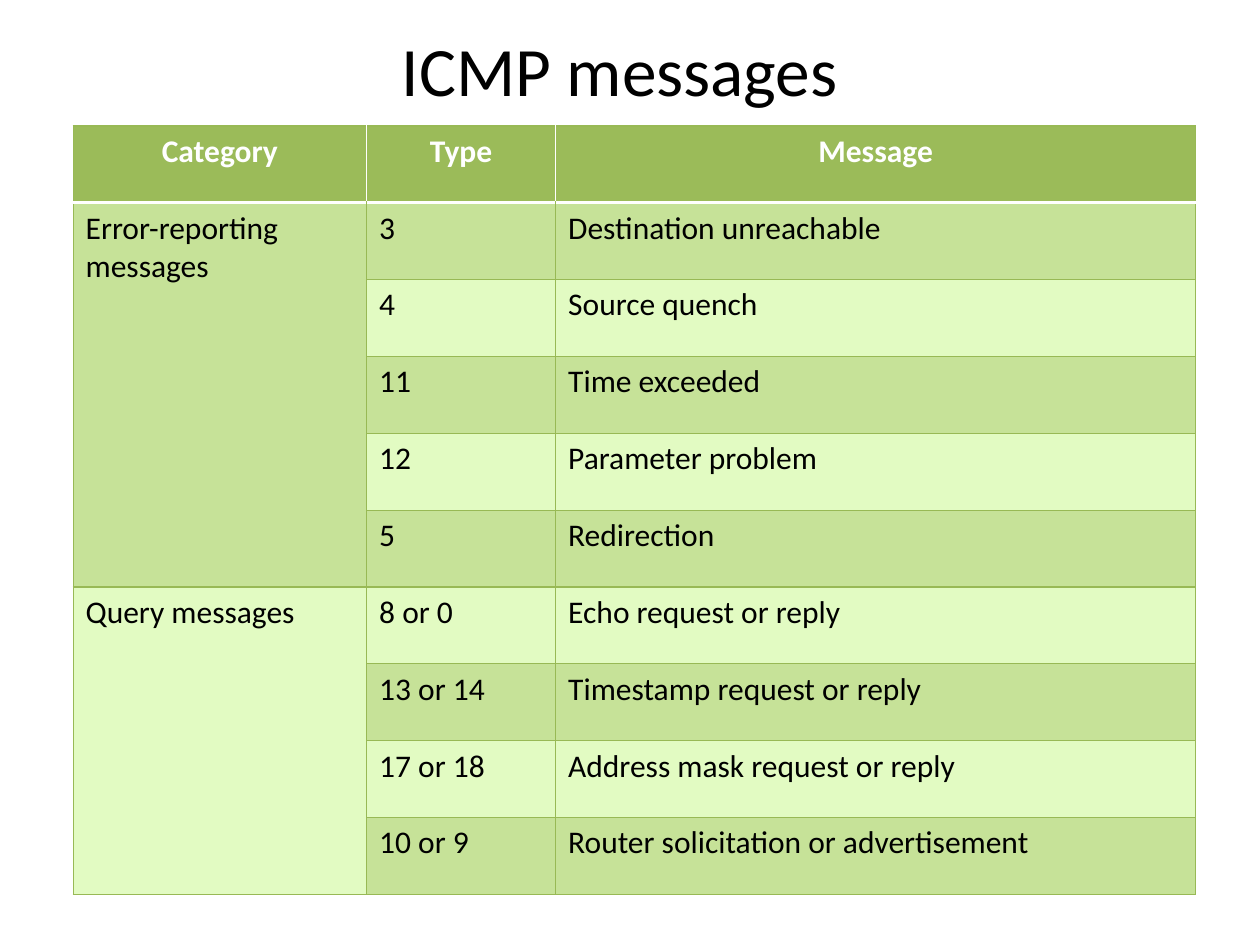
from dataclasses import dataclass

from lxml.etree import SubElement
from pptx import Presentation
from pptx.dml.color import RGBColor
from pptx.enum.text import MSO_ANCHOR as Anchor, PP_ALIGN as Align
from pptx.oxml.ns import qn
from pptx.util import Inches, Pt

FONT = "Calibri"
BLACK, WHITE = "000000", "FFFFFF"
HEADER_FILL, GRID_LINE = "9BBB59", "98B955"
BANDS = ("C6E298", "E2FBC2")
GRID_WIDTH, HEADER_RULE_WIDTH = 0.75, 2
SLIDE_WIDTH, SLIDE_HEIGHT = 10, 7.5
COLUMN_WIDTHS = (2.33, 1.5, 5.08)
ROW_HEIGHT = 0.61
HEADINGS = ("Category", "Type", "Message")


@dataclass
class Category:
    name: str
    messages: list[tuple[str, str]]


CATEGORIES = [
    Category("Error-reporting messages", [
        ("3", "Destination unreachable"),
        ("4", "Source quench"),
        ("11", "Time exceeded"),
        ("12", "Parameter problem"),
        ("5", "Redirection"),
    ]),
    Category("Query messages", [
        ("8 or 0", "Echo request or reply"),
        ("13 or 14", "Timestamp request or reply"),
        ("17 or 18", "Address mask request or reply"),
        ("10 or 9", "Router solicitation or advertisement"),
    ]),
]


def color(value: str) -> RGBColor:
    return RGBColor.from_string(value)


def write(frame, text: str, size: float, ink: str, bold: bool = False, align=Align.LEFT) -> None:
    paragraph = frame.paragraphs[0]
    paragraph.alignment = align
    run = paragraph.add_run()
    run.text = text
    run.font.name, run.font.size, run.font.bold = FONT, Pt(size), bold
    run.font.color.rgb = color(ink)


def add_border(cell, side: str, ink: str, width: float) -> None:
    line = SubElement(cell._tc.get_or_add_tcPr(), qn(f"a:ln{side}"), w=str(Pt(width)))
    SubElement(SubElement(line, qn("a:solidFill")), qn("a:srgbClr"), val=ink)


def style_cell(cell, row: int, column: int) -> None:
    header = row == 0
    last = len(COLUMN_WIDTHS) - 1
    if not header or column == 0:
        add_border(cell, "L", GRID_LINE, GRID_WIDTH)
    if not header or column == last:
        add_border(cell, "R", GRID_LINE, GRID_WIDTH)
    header_rule = (WHITE, HEADER_RULE_WIDTH)
    grid_rule = (GRID_LINE, GRID_WIDTH)
    add_border(cell, "T", *(header_rule if row == 1 else grid_rule))
    add_border(cell, "B", *(header_rule if header else grid_rule))
    cell.fill.solid()
    cell.fill.fore_color.rgb = color(HEADER_FILL if header else BANDS[(row - 1) % 2])


def add_title(slide, text: str) -> None:
    box = slide.shapes.add_textbox(Inches(0.67), Inches(0.25), Inches(8.5), Inches(0.59))
    frame = box.text_frame
    frame.word_wrap = True
    frame.vertical_anchor = Anchor.MIDDLE
    write(frame, text, 39.6, BLACK, align=Align.CENTER)


def add_message_table(slide, categories: list[Category]) -> None:
    row_count = 1 + sum(len(category.messages) for category in categories)
    table = slide.shapes.add_table(
        row_count, len(COLUMN_WIDTHS), Inches(0.58), Inches(1),
        Inches(sum(COLUMN_WIDTHS)), Inches(ROW_HEIGHT * row_count),
    ).table
    for column, width in zip(table.columns, COLUMN_WIDTHS):
        column.width = Inches(width)
    for row_index, row in enumerate(table.rows):
        row.height = Inches(ROW_HEIGHT)
        for column_index, cell in enumerate(row.cells):
            style_cell(cell, row_index, column_index)

    for column, heading in enumerate(HEADINGS):
        write(table.cell(0, column).text_frame, heading, 18, WHITE, True, Align.CENTER)
    first = 1
    for category in categories:
        end = first + len(category.messages)
        table.cell(first, 0).merge(table.cell(end - 1, 0))
        write(table.cell(first, 0).text_frame, category.name, 18, BLACK)
        for row, message in enumerate(category.messages, first):
            for column, text in enumerate(message, 1):
                write(table.cell(row, column).text_frame, text, 18, BLACK)
        first = end


def main() -> None:
    presentation = Presentation()
    presentation.slide_width = Inches(SLIDE_WIDTH)
    presentation.slide_height = Inches(SLIDE_HEIGHT)
    slide = presentation.slides.add_slide(presentation.slide_layouts[6])
    add_title(slide, "ICMP messages")
    add_message_table(slide, CATEGORIES)
    presentation.save("out.pptx")


if __name__ == "__main__":
    main()
